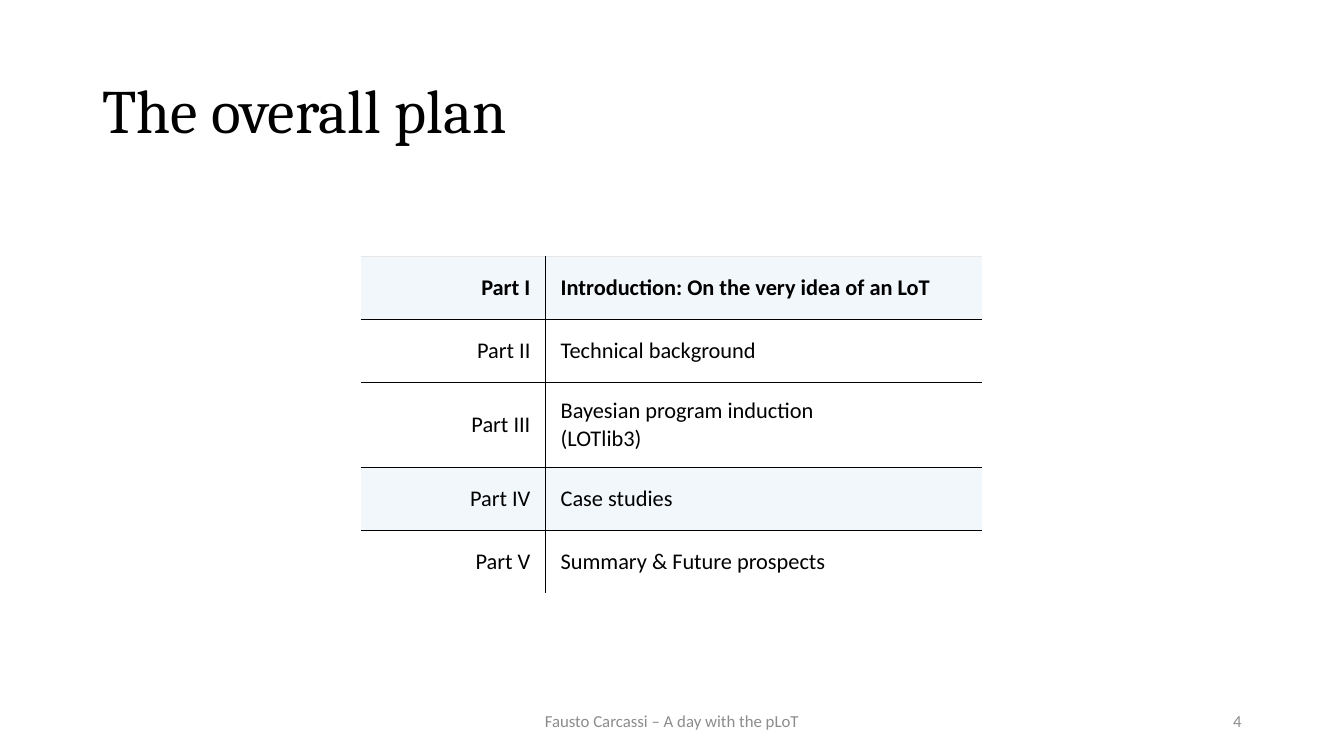
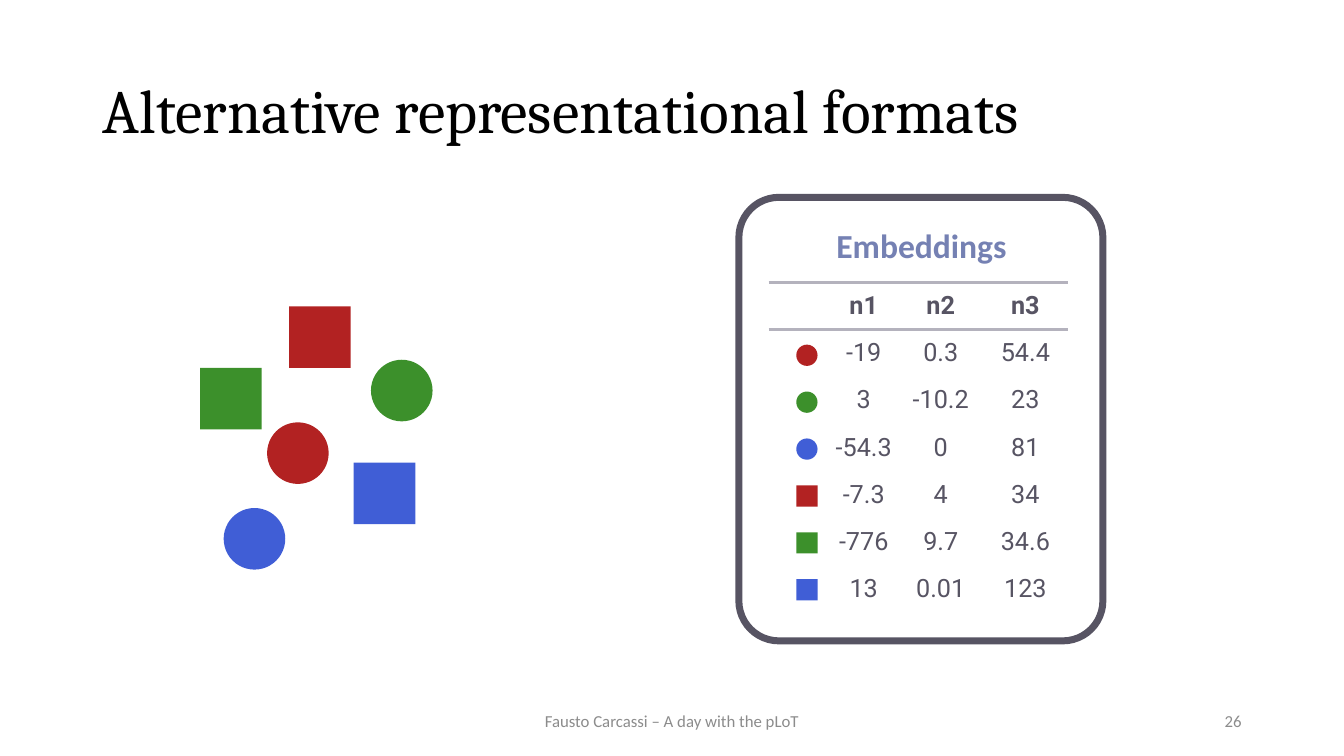
"""Build two lecture slides: the overall plan and a table of embeddings."""
from lxml import etree
from pptx import Presentation
from pptx.dml.color import RGBColor
from pptx.enum.shapes import MSO_SHAPE
from pptx.enum.text import MSO_ANCHOR, PP_ALIGN
from pptx.oxml.ns import qn
from pptx.util import Pt

LEFT, CENTER, RIGHT = PP_ALIGN.LEFT, PP_ALIGN.CENTER, PP_ALIGN.RIGHT
MIDDLE = MSO_ANCHOR.MIDDLE
CIRCLE, SQUARE, CARD = MSO_SHAPE.OVAL, MSO_SHAPE.RECTANGLE, MSO_SHAPE.ROUNDED_RECTANGLE

COLORS = {
    "ink": "000000",
    "footer": "8C8C8C",
    "tint": "F2F7FC",
    "paper": "FFFFFF",
    "edge": "E7E7E7",
    "slate": "575463",
    "rule": "B4B2BD",
    "heading": "7581B3",
    "red": "B22222",
    "green": "3C902B",
    "blue": "405ED6",
}
FOOTER = "Fausto Carcassi – A day with the pLoT"

PLAN = [
    ("Part I", "Introduction: On the very idea of an LoT"),
    ("Part II", "Technical background"),
    ("Part III", "Bayesian program induction\n(LOTlib3)"),
    ("Part IV", "Case studies"),
    ("Part V", "Summary & Future prospects"),
]
PLAN_HEIGHTS = (45, 45, 60.5, 45, 45)
TINTED_PARTS = (0, 3)

OBJECTS = [
    (CIRCLE, "red", 190.8, 301.7),
    (CIRCLE, "green", 265, 257),
    (CIRCLE, "blue", 159.8, 362.9),
    (SQUARE, "red", 206.6, 218.9),
    (SQUARE, "green", 143, 262.8),
    (SQUARE, "blue", 252.7, 330.5),
]
EMBEDDINGS = [
    ("", "n1", "n2", "n3"),
    ("", "-19", "0.3", "54.4"),
    ("", "3", "-10.2", "23"),
    ("", "-54.3", "0", "81"),
    ("", "-7.3", "4", "34"),
    ("", "-776", "9.7", "34.6"),
    ("", "13", "0.01", "123"),
]


def color(name):
    """Return the named palette colour."""
    return RGBColor.from_string(COLORS[name])


def write(frame, text, size, font, ink, align=LEFT, bold=False):
    """Fill a text frame and format all its runs."""
    frame.text = text
    for paragraph in frame.paragraphs:
        paragraph.alignment = align
        for run in paragraph.runs:
            run.font.size = Pt(size)
            run.font.name = font
            run.font.bold = bold
            run.font.color.rgb = color(ink)


def set_margins(holder, margin):
    """Give a cell or text frame the same margin on all sides."""
    holder.margin_left = holder.margin_right = Pt(margin)
    holder.margin_top = holder.margin_bottom = Pt(margin)


def add_label(slide, box, text, size, ink, align, bold=False):
    """Add a vertically centred line of text."""
    frame = slide.shapes.add_textbox(*map(Pt, box)).text_frame
    frame.word_wrap = True
    frame.vertical_anchor = MIDDLE
    write(frame, text, size, "Calibri", ink, align, bold)
    return frame


def add_slide(deck, heading, number):
    """Add a slide with the shared title, footer and page number."""
    slide = deck.slides.add_slide(deck.slide_layouts[5])
    title = slide.shapes.title
    title.left, title.top, title.width, title.height = map(Pt, (66, 28.8, 828, 104.4))
    title.text_frame.vertical_anchor = MIDDLE
    write(title.text_frame, heading, 44, "Cambria", "ink")
    title.text_frame.paragraphs[0].line_spacing = 0.9
    add_label(slide, (318, 500.5, 324, 28.8), FOOTER, 12, "footer", CENTER)
    add_label(slide, (678, 500.5, 216, 28.8), str(number), 12, "footer", RIGHT)
    return slide


def add_grid(slide, left, top, widths, heights):
    """Add a table without header or banded styling."""
    box = map(Pt, (left, top, sum(widths), sum(heights)))
    table = slide.shapes.add_table(len(heights), len(widths), *box).table
    table.first_row = table.horz_banding = False
    for column, width in zip(table.columns, widths):
        column.width = Pt(width)
    for row, height in zip(table.rows, heights):
        row.height = Pt(height)
    return table


def set_borders(cell, borders):
    """Draw the given sides of a cell and clear its other sides."""
    properties = cell._tc.get_or_add_tcPr()
    for side in "LRTB":
        line = etree.SubElement(properties, qn(f"a:ln{side}"))
        if side in borders:
            ink, width = borders[side]
            line.set("w", str(Pt(width)))
            fill = etree.SubElement(line, qn("a:solidFill"))
            etree.SubElement(fill, qn("a:srgbClr"), val=COLORS[ink])
        else:
            etree.SubElement(line, qn("a:noFill"))


def add_plan(slide):
    """Add the table of the parts of the day."""
    table = add_grid(slide, 257.7, 183.2, (132, 312), PLAN_HEIGHTS)
    line = ("ink", 1)
    for row, entries in enumerate(PLAN):
        for column, entry in enumerate(entries):
            cell = table.cell(row, column)
            borders = {"L" if column else "R": line}
            borders["T"] = line if row else ("edge", 0.3)
            if row < len(PLAN) - 1:
                borders["B"] = line
            set_borders(cell, borders)
            cell.fill.solid()
            cell.fill.fore_color.rgb = color("tint" if row in TINTED_PARTS else "paper")
            cell.vertical_anchor = MIDDLE
            set_margins(cell, 10.8)
            align = LEFT if column else RIGHT
            write(cell.text_frame, entry, 16, "Calibri", "ink", align, row == 0)


def add_embeddings(slide):
    """Add the table of embedding values."""
    heights = [33.7] * len(EMBEDDINGS)
    table = add_grid(slide, 549, 201.8, (43.2, 49.5, 60.5, 60.5), heights)
    thick, thin = ("rule", 3), ("rule", 2)
    row_borders = {0: {"T": thick, "B": thin}, 1: {"T": thin}}
    for row, values in enumerate(EMBEDDINGS):
        for column, value in enumerate(values):
            cell = table.cell(row, column)
            set_borders(cell, row_borders.get(row, {}))
            cell.fill.background()
            cell.vertical_anchor = MIDDLE
            set_margins(cell, 4)
            write(cell.text_frame, value, 18, "Roboto", "slate", CENTER, row == 0)
            cell.text_frame.paragraphs[0].space_before = Pt(10)


def add_object(shapes, kind, ink, left, top, size):
    """Add a plain coloured circle or square."""
    mark = shapes.add_shape(kind, Pt(left), Pt(top), Pt(size), Pt(size))
    mark.shadow.inherit = False
    mark.fill.solid()
    mark.fill.fore_color.rgb = color(ink)
    mark.line.fill.background()


def add_objects(slide):
    """Add the scattered objects and their grouped row markers."""
    for kind, ink, left, top in OBJECTS:
        add_object(slide.shapes, kind, ink, left, top, 44)
    markers = slide.shapes.add_group_shape().shapes
    for row, (kind, ink, *_) in enumerate(OBJECTS):
        add_object(markers, kind, ink, 568.8, 246.2 + 33.5 * row, 15.2)


def add_card(slide):
    """Add the rounded frame and its heading."""
    card = slide.shapes.add_shape(CARD, *map(Pt, (527.8, 141, 260, 316.8)))
    card.adjustments[0] = 0.11
    card.shadow.inherit = False
    card.fill.background()
    card.line.color.rgb = color("slate")
    card.line.width = Pt(5)
    box = (552, 156.2, 212.4, 37.4)
    set_margins(add_label(slide, box, "Embeddings", 24, "heading", CENTER, True), 4.5)


def main():
    """Build and save the deck."""
    deck = Presentation()
    deck.slide_width, deck.slide_height = Pt(960), Pt(540)
    add_plan(add_slide(deck, "The overall plan", 4))
    formats = add_slide(deck, "Alternative representational formats", 26)
    add_embeddings(formats)
    add_objects(formats)
    add_card(formats)
    deck.save("out.pptx")


if __name__ == "__main__":
    main()
